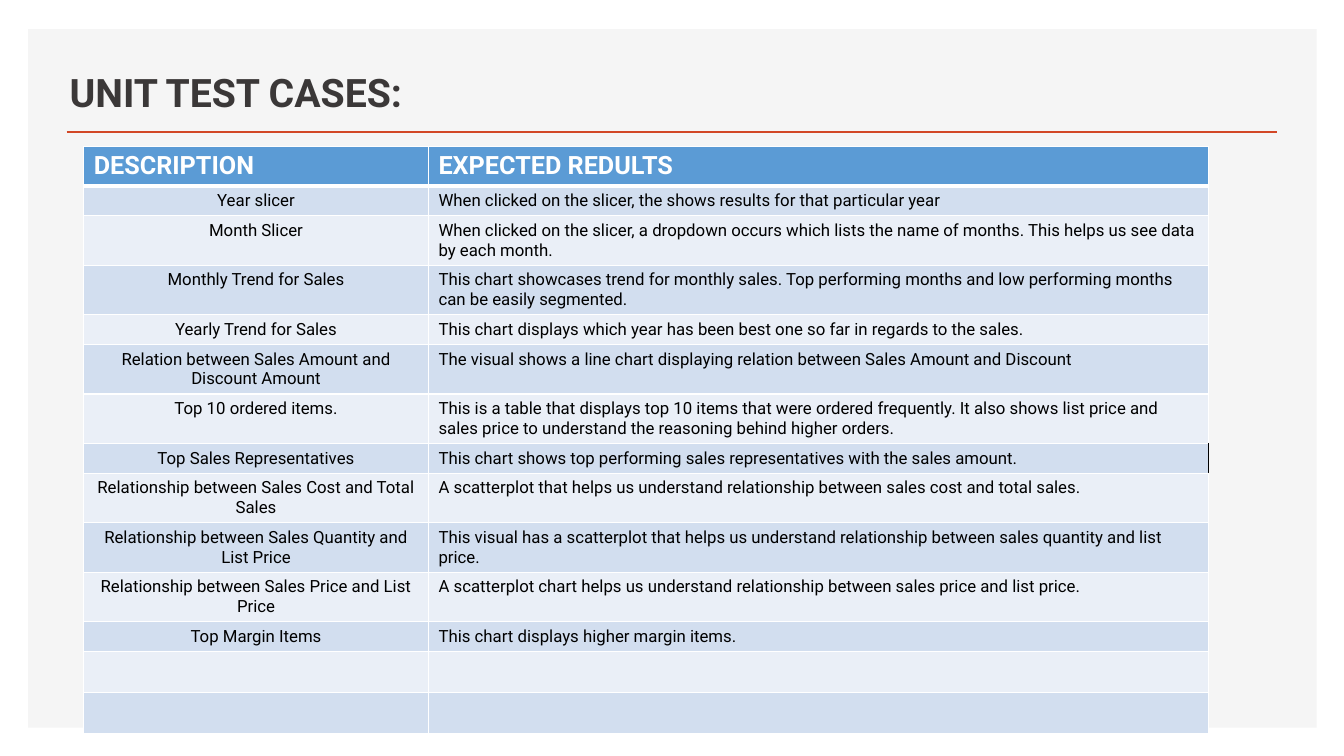
from lxml.etree import SubElement
from pptx import Presentation
from pptx.dml.color import RGBColor
from pptx.enum.shapes import MSO_CONNECTOR as Connector, MSO_SHAPE as Preset
from pptx.enum.text import MSO_ANCHOR as Anchor, PP_ALIGN as Align
from pptx.oxml.ns import qn
from pptx.util import Inches, Pt

WHITE = RGBColor(0xFF, 0xFF, 0xFF)
BLACK = RGBColor(0x00, 0x00, 0x00)
PANEL_GREY = RGBColor(0xF5, 0xF5, 0xF5)
TITLE_GREY = RGBColor(0x3B, 0x38, 0x38)
RULE_ORANGE = RGBColor(0xD2, 0x47, 0x26)
HEADER_BLUE = RGBColor(0x5B, 0x9B, 0xD5)
BAND_DARK = RGBColor(0xD2, 0xDE, 0xEF)
BAND_LIGHT = RGBColor(0xEA, 0xEF, 0xF7)

FONT = "Roboto"
COLUMN_WIDTHS = (3.42, 7.74)
TALL, SINGLE, DOUBLE = 0.39, 0.29, 0.49

# Row height, description, expected result
ROWS = [
    (TALL, "DESCRIPTION", "EXPECTED REDULTS"),
    (SINGLE, "Year slicer",
     "When clicked on the slicer, the shows results for that particular year"),
    (DOUBLE, "Month Slicer",
     "When clicked on the slicer, a dropdown occurs which lists the name of months. "
     "This helps us see data by each month."),
    (DOUBLE, "Monthly Trend for Sales",
     "This chart showcases trend for monthly sales. Top performing months and "
     "low performing months can be easily segmented."),
    (SINGLE, "Yearly Trend for Sales",
     "This chart displays which year has been best one so far in regards to the sales."),
    (DOUBLE, "Relation between Sales Amount and Discount Amount",
     "The visual shows a line chart displaying relation between Sales Amount and Discount"),
    (DOUBLE, "Top 10 ordered items.",
     "This is a table that displays top 10 items that were ordered frequently. It also "
     "shows list price and sales price to understand the reasoning behind higher orders."),
    (SINGLE, "Top Sales Representatives",
     "This chart shows top performing sales representatives with the sales amount."),
    (DOUBLE, "Relationship between Sales Cost and Total Sales",
     "A scatterplot that helps us understand relationship between sales cost and total sales."),
    (DOUBLE, "Relationship between Sales Quantity and List Price",
     "This visual has a scatterplot that helps us understand relationship between "
     "sales quantity and list price."),
    (DOUBLE, "Relationship between Sales Price and List Price",
     "A scatterplot chart helps us understand relationship between sales price and list price."),
    (SINGLE, "Top Margin Items", "This chart displays higher margin items."),
    (TALL, "", ""),
    (TALL, "", ""),
]
BLACK_EDGE_ROW = 7


def format_font(font, size, color, bold):
    settings = {"name": FONT, "size": Pt(size), "bold": bold}
    for name, value in settings.items():
        setattr(font, name, value)
    font.color.rgb = color


def set_borders(cell, borders):
    """Put the cell's border lines, in schema order, ahead of its fill."""
    properties = cell._tc.get_or_add_tcPr()
    for position, (side, (color, width)) in enumerate(borders.items()):
        line = SubElement(properties, qn(f"a:{side}"), w=str(Pt(width)))
        fill = SubElement(line, qn("a:solidFill"))
        SubElement(fill, qn("a:srgbClr"), val=str(color))
        properties.insert(position, line)


presentation = Presentation()
presentation.slide_width = Inches(13.33)
presentation.slide_height = Inches(7.5)
slide = presentation.slides.add_slide(presentation.slide_layouts[5])
shapes = slide.shapes

# Background panel, placed behind the title
panel = shapes.add_shape(Preset.RECTANGLE, Inches(0.28), Inches(0.29),
                         Inches(12.78), Inches(6.93))
panel.shadow.inherit = False
panel.fill.solid()
panel.fill.fore_color.rgb = PANEL_GREY
panel.line.fill.background()

# Title
title = shapes.title
panel.element.addnext(title.element)
title_box = {"left": 0.59, "top": 0.49, "width": 7.52, "height": 0.7}
for name, value in title_box.items():
    setattr(title, name, Inches(value))
title.text_frame.text = "UNIT TEST CASES:"
title.text_frame.vertical_anchor = Anchor.BOTTOM
paragraph = title.text_frame.paragraphs[0]
paragraph.alignment = Align.LEFT
format_font(paragraph.runs[0].font, 28, TITLE_GREY, True)

# Rule under the title
rule = shapes.add_connector(Connector.STRAIGHT, Inches(0.66), Inches(1.31),
                            Inches(12.67), Inches(1.31))
rule.line.color.rgb = RULE_ORANGE
rule.line.width = Pt(2)
SubElement(rule.element.spPr, qn("a:effectLst"))

# Table of test cases
table = shapes.add_table(len(ROWS), len(COLUMN_WIDTHS), Inches(0.83), Inches(1.45),
                         Inches(sum(COLUMN_WIDTHS)),
                         Inches(sum(row[0] for row in ROWS))).table
for column, width in zip(table.columns, COLUMN_WIDTHS):
    column.width = Inches(width)

for row_index, (height, *texts) in enumerate(ROWS):
    table.rows[row_index].height = Inches(height)
    is_header = row_index == 0
    band = BAND_DARK if row_index % 2 else BAND_LIGHT
    for column_index, text in enumerate(texts):
        cell = table.cell(row_index, column_index)
        cell.fill.solid()
        cell.fill.fore_color.rgb = HEADER_BLUE if is_header else band

        borders = {side: (WHITE, 1) for side in ("lnL", "lnR", "lnT", "lnB")}
        if is_header:
            borders["lnB"] = (WHITE, 3)
        elif row_index == 1:
            borders["lnT"] = (WHITE, 3)
        if row_index == BLACK_EDGE_ROW and column_index == 1:
            borders["lnR"] = (BLACK, 1)
        set_borders(cell, borders)

        if text:
            cell.text = text
            paragraph = cell.text_frame.paragraphs[0]
            centred = column_index == 0 and not is_header
            paragraph.alignment = Align.CENTER if centred else Align.LEFT
            size, color = (18, WHITE) if is_header else (12, BLACK)
            format_font(paragraph.runs[0].font, size, color, is_header)

presentation.save("out.pptx")
